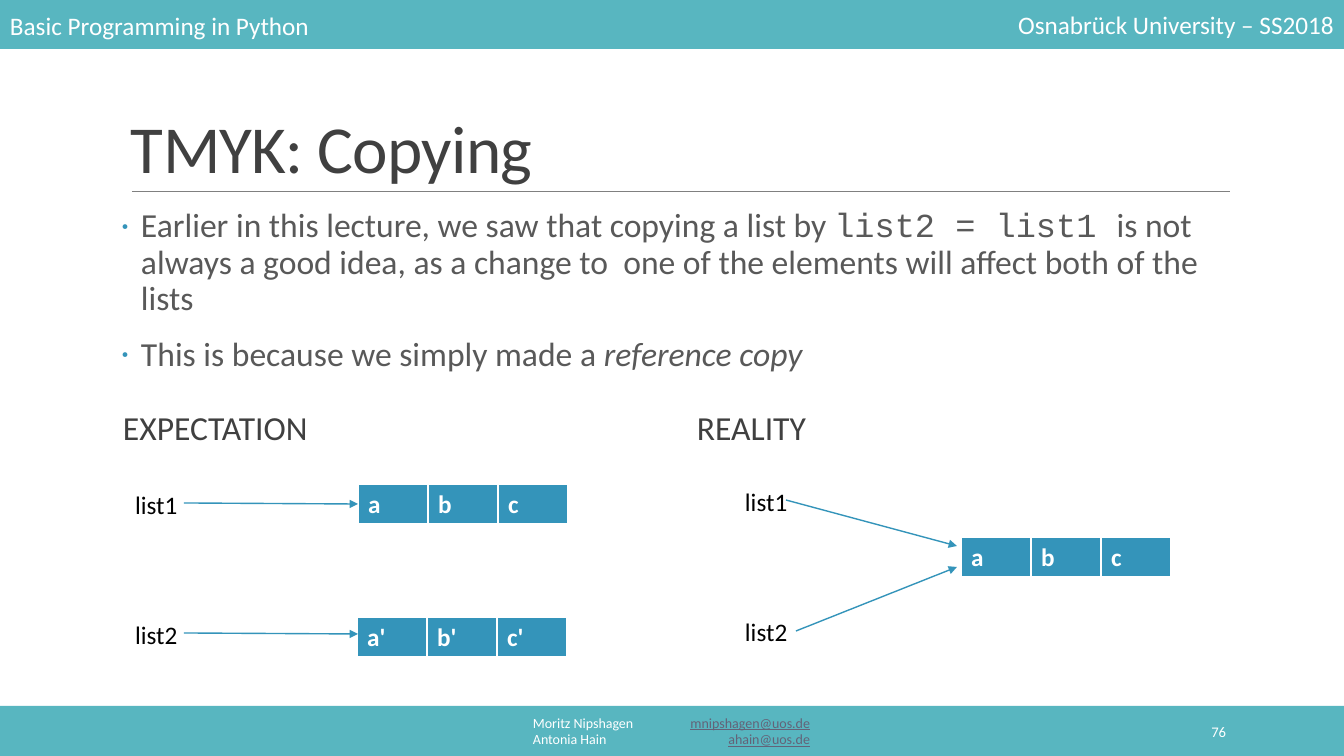
from lxml import etree
from pptx import Presentation
from pptx import util as u
from pptx.dml.color import RGBColor
from pptx.enum import shapes, text
from pptx.oxml import ns

SCALE = 914400 / 100.8
WHITE, BLUE, TEAL = "FFFFFF", "3494BA", "58B6C0"
DARK, GREY, LINK = "404040", "595959", "636378"
LEFT, MID, RIGHT = text.PP_ALIGN.LEFT, text.PP_ALIGN.CENTER, text.PP_ALIGN.RIGHT


def px(n):
    """Turn pixels into EMU."""
    return u.Emu(round(n * SCALE))


def rgb(code):
    """Turn a hex string into a colour."""
    return RGBColor.from_string(code)


def node(parent, tag, **attrs):
    """Append a DrawingML element and return it."""
    return etree.SubElement(parent, ns.qn("a:" + tag), attrs)


def add_run(par, words, size, color, font="Calibri", bold=False, slant=False, under=False, gap=None):
    """Add one run of text to a paragraph."""
    run = par.add_run()
    run.text = words
    face = run.font
    face.size, face.name, face.bold = u.Pt(size), font, bold
    face.italic, face.underline = slant, under
    face.color.rgb = rgb(color)
    if gap:
        face._element.set("spc", str(gap))


def add_text(slide, box, lines, size, color, align=LEFT, anchor=text.MSO_ANCHOR.TOP,
             inset=10, lead=None, space=False):
    """Add a text box from lines of (words, style) runs and return its paragraphs."""
    frame = slide.shapes.add_textbox(*map(px, box)).text_frame
    frame.word_wrap = True
    frame.vertical_anchor = anchor
    frame.margin_left = frame.margin_right = px(inset)
    for i, line in enumerate(lines):
        par = frame.paragraphs[0] if i == 0 else frame.add_paragraph()
        par.alignment = align
        if lead:
            par.line_spacing = lead
        if space:
            par.space_before, par.space_after = u.Pt(12), u.Pt(2)
        for words, style in line:
            add_run(par, words, **{"size": size, "color": color, **style})
    return frame.paragraphs


def add_dot(par):
    """Give a paragraph a hanging blue bullet."""
    props = par._p.get_or_add_pPr()
    props.set("marL", str(px(20)))
    props.set("indent", str(-px(20)))
    node(node(props, "buClr"), "srgbClr", val=BLUE)
    node(props, "buFont", typeface="Calibri")
    node(props, "buChar", char="·")


def add_tab(par, place):
    """Set a right tab stop on a paragraph."""
    tabs = node(par._p.get_or_add_pPr(), "tabLst")
    node(tabs, "tab", pos=str(px(place)), algn="r")


def add_bar(slide, top, height):
    """Add a teal band across the slide."""
    bar = slide.shapes.add_shape(shapes.MSO_SHAPE.RECTANGLE, 0, px(top), px(1344), px(height))
    bar.shadow.inherit = False
    bar.fill.solid()
    bar.fill.fore_color.rgb = rgb(TEAL)
    bar.line.fill.background()


def add_line(slide, ends, color, width, arrow=False):
    """Add a straight line, with an arrowhead if asked."""
    line = slide.shapes.add_connector(shapes.MSO_CONNECTOR.STRAIGHT, *map(px, ends))
    line.line.color.rgb = rgb(color)
    line.line.width = u.Pt(width)
    if arrow:
        node(line.line._get_or_add_ln(), "tailEnd", type="triangle")
    node(line._element.spPr, "effectLst")


def add_list(slide, left, top, items):
    """Draw a list as a one-row table of blue cells."""
    frame = slide.shapes.add_table(1, len(items), px(left), px(top), px(70 * len(items)), px(41))
    for i, item in enumerate(items):
        frame.table.columns[i].width = px(70)
        cell = frame.table.cell(0, i)
        add_run(cell.text_frame.paragraphs[0], item, 18, WHITE, bold=True)
        props = cell._tc.get_or_add_tcPr()
        for side, width in zip("LRTB", (1, 1, 1, 3)):
            edge = node(props, "ln" + side, w=str(u.Pt(width)))
            node(node(edge, "solidFill"), "srgbClr", val=WHITE)
        cell.fill.solid()
        cell.fill.fore_color.rgb = rgb(BLUE)


def add_frame(slide):
    """Add the header and footer bands with their text."""
    mid = text.MSO_ANCHOR.MIDDLE
    add_bar(slide, 706, 50)
    add_bar(slide, -2, 51)
    add_text(slide, (0, 5, 531, 40), [[("Basic Programming in Python", {})]], 18, WHITE, anchor=mid)
    add_text(slide, (813, 4, 531, 40), [[("Osnabrück University – SS2018", {})]], 18, WHITE, RIGHT, mid)
    people = [("Moritz Nipshagen", "mnipshagen@uos.de"), ("Antonia Hain", "ahain@uos.de")]
    lines = [[(name + "\t", {}), (mail, {"color": LINK, "under": True})] for name, mail in people]
    for par in add_text(slide, (406, 711, 531, 40), lines, 10, WHITE, MID, mid):
        add_tab(par, 277)
    add_text(slide, (1092, 712, 144, 40), [[("76", {})]], 10.5, WHITE, RIGHT, mid)


def add_body(slide):
    """Add the title, its rule and the bullet points."""
    add_line(slide, (132, 191, 1230, 191), "808080", 0.5)
    add_text(slide, (121, 109, 1109, 83), [[("TMYK: Copying", {"gap": -50})]], 48, DARK,
             anchor=text.MSO_ANCHOR.BOTTOM, lead=0.85)
    points = [
        [("Earlier in this lecture, we saw that copying a list by ", {}),
         ("list2 = list1 ", {"font": "Courier New"}),
         ("is not always a good idea, as a change to  one of the elements "
          "will affect both of the lists", {})],
        [("This is because we simply made a ", {}), ("reference copy", {"slant": True})],
    ]
    for par in add_text(slide, (121, 204, 1109, 444), points, 24, GREY, inset=0, lead=0.9, space=True):
        add_dot(par)


def add_side(slide, head, left, inset, label, top):
    """Add a heading with the two list names below it."""
    add_text(slide, (left, 406, 544, 54), [[(head, {})]], 24, DARK, inset=inset, lead=0.9, space=True)
    for i in range(2):
        add_text(slide, (label, top + 130 * i, 86, 40), [[(f"list{i + 1}", {})]], 18, "000000")


def main():
    """Build the slide and save it."""
    deck = Presentation()
    deck.slide_width, deck.slide_height = px(1344), px(756)
    slide = deck.slides.add_slide(deck.slide_layouts[6])
    add_frame(slide)
    add_body(slide)
    add_side(slide, "EXPECTATION", 123, 0, 125, 484)
    add_side(slide, "REALITY", 687, 10, 735, 481)
    add_list(slide, 358, 484, ["a", "b", "c"])
    add_list(slide, 357, 617, ["a'", "b'", "c'"])
    add_list(slide, 961, 537, ["a", "b", "c"])
    for ends in ((184, 503, 358, 504), (184, 633, 358, 634),
                 (786, 500, 957, 546), (796, 631, 957, 567)):
        add_line(slide, ends, BLUE, 1, arrow=True)
    deck.save("out.pptx")


if __name__ == "__main__":
    main()
